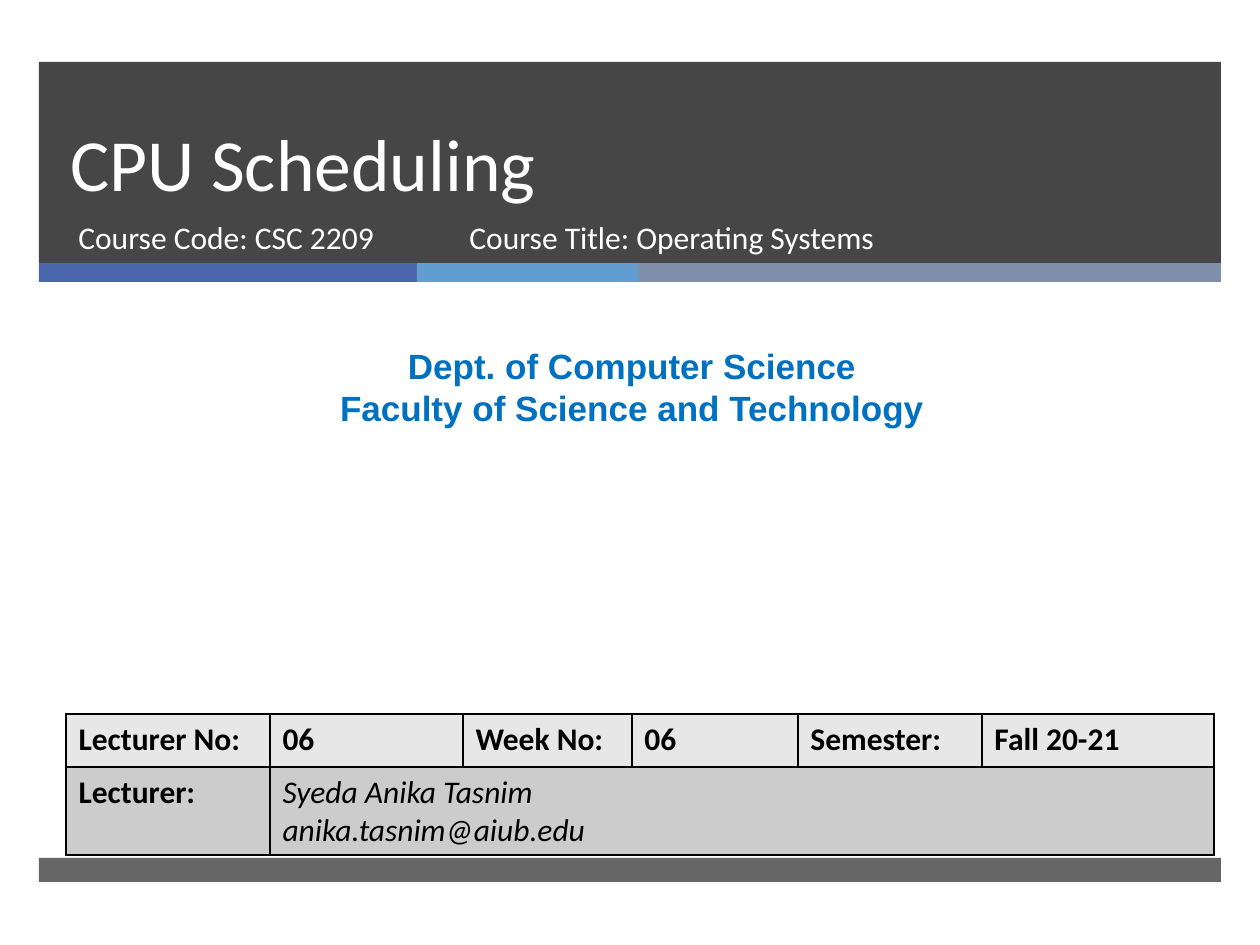
from dataclasses import dataclass
from itertools import accumulate

from lxml.etree import SubElement
from pptx import Presentation
from pptx.dml.color import RGBColor
from pptx.enum.shapes import MSO_SHAPE
from pptx.enum.text import MSO_ANCHOR, PP_ALIGN
from pptx.oxml.ns import qn
from pptx.util import Emu, Pt


@dataclass(frozen=True)
class Theme:
    dark: str = "262626"
    white: str = "FFFFFF"
    black: str = "000000"
    blue: str = "0070C0"
    strips: tuple = ("4A66AC", "629DD1", "7F8FA9")
    rows: tuple = ("E7E7E7", "CCCCCC")
    body: str = "Calibri"
    dept: str = "Arial"
    big: int = 42
    mid: int = 20
    small: int = 18


T = Theme()
SCALE = 914400 / 126
SIZE = (1260, 945)

# Bars: left, top, width, height, opacity in percent
LEFT, WIDE = 39, 1182
BARS = [(LEFT, 62, WIDE, 202, 85), (LEFT, 858, WIDE, 24, 70)]
STRIP_TOP, STRIP_HIGH = 263, 19
STRIPS = [378, 221, 583]

SUB = {"size": Pt(T.small), "name": T.body}
TEXTS = [
    {"at": (58, 62, 1076, 150), "lines": ["CPU Scheduling"],
     "font": {"size": Pt(T.big), "name": T.body}, "color": T.white,
     "frame": {"vertical_anchor": MSO_ANCHOR.BOTTOM},
     "para": {"line_spacing": Pt(46)}},
    {"at": (66, 212, 384, 67), "lines": ["Course Code: CSC 2209"],
     "font": SUB, "color": T.white},
    {"at": (10, 338, 1244, 97),
     "lines": ["Dept. of Computer Science", "Faculty of Science and Technology"],
     "font": {"size": Pt(T.mid), "name": T.dept, "bold": True},
     "color": T.blue, "para": {"alignment": PP_ALIGN.CENTER}},
    {"at": (457, 212, 573, 67), "lines": ["Course Title: Operating Systems"],
     "font": SUB, "color": T.white},
]

GRID_AT = (66, 714)
COLS = [204, 193, 169, 166, 184, 232]
ROWS = [53, 88]
BOLD = {**SUB, "bold": True}
ITALIC = {**SUB, "bold": False, "italic": True}
CELLS = [
    [["Lecturer No:"], ["06"], ["Week No:"], ["06"], ["Semester:"], ["Fall 20-21"]],
    [["Lecturer:"], ["Syeda Anika Tasnim", "anika.tasnim@aiub.edu"]],
]


def px(n):
    return Emu(round(n * SCALE))


def rgb(code):
    return RGBColor.from_string(code)


def put(obj, vals):
    for key, val in vals.items():
        setattr(obj, key, val)


def write(frame, lines, font, color, para=None):
    for i, line in enumerate(lines):
        p = frame.add_paragraph() if i else frame.paragraphs[0]
        put(p, para or {})
        run = p.add_run()
        run.text = line
        put(run.font, font)
        run.font.color.rgb = rgb(color)


def add_bar(slide, at, color, alpha=100):
    bar = slide.shapes.add_shape(MSO_SHAPE.RECTANGLE, *map(px, at))
    bar.shadow.inherit = False
    bar.fill.solid()
    bar.fill.fore_color.rgb = rgb(color)
    bar.line.fill.background()
    if alpha < 100:
        tone = bar.fill._xPr.find(".//" + qn("a:srgbClr"))
        SubElement(tone, qn("a:alpha"), val=str(alpha * 1000))


def add_text(slide, at, lines, font, color, frame=None, para=None):
    box = slide.shapes.add_textbox(*map(px, at)).text_frame
    box.word_wrap = True
    put(box, frame or {})
    write(box, lines, font, color, para)


def edge(cell, color):
    """Draw a 1 pt line on all four sides; lines go before the fill."""
    props = cell._tc.get_or_add_tcPr()
    for i, side in enumerate(("lnL", "lnR", "lnT", "lnB")):
        line = SubElement(props, qn("a:" + side), w=str(Pt(1)))
        fill = SubElement(line, qn("a:solidFill"))
        SubElement(fill, qn("a:srgbClr"), val=color)
        props.insert(i, line)


def add_grid(slide):
    area = (*GRID_AT, sum(COLS), sum(ROWS))
    grid = slide.shapes.add_table(len(ROWS), len(COLS), *map(px, area)).table
    for col, wide in zip(grid.columns, COLS):
        col.width = px(wide)
    for row, high in zip(grid.rows, ROWS):
        row.height = px(high)
    grid.cell(1, 1).merge(grid.cell(1, len(COLS) - 1))
    for r, tone in enumerate(T.rows):
        for c in range(len(COLS)):
            cell = grid.cell(r, c)
            cell.fill.solid()
            cell.fill.fore_color.rgb = rgb(tone)
            edge(cell, T.black)
        for c, lines in enumerate(CELLS[r]):
            font = ITALIC if (r, c) == (1, 1) else BOLD
            write(grid.cell(r, c).text_frame, lines, font, T.black)


def main():
    deck = Presentation()
    deck.slide_width, deck.slide_height = map(px, SIZE)
    slide = deck.slides.add_slide(deck.slide_layouts[6])
    for *at, alpha in BARS:
        add_bar(slide, at, T.dark, alpha)
    lefts = accumulate(STRIPS, initial=LEFT)
    for left, wide, color in zip(lefts, STRIPS, T.strips):
        add_bar(slide, (left, STRIP_TOP, wide, STRIP_HIGH), color)
    for text in TEXTS:
        add_text(slide, **text)
    add_grid(slide)
    deck.save("out.pptx")


if __name__ == "__main__":
    main()
